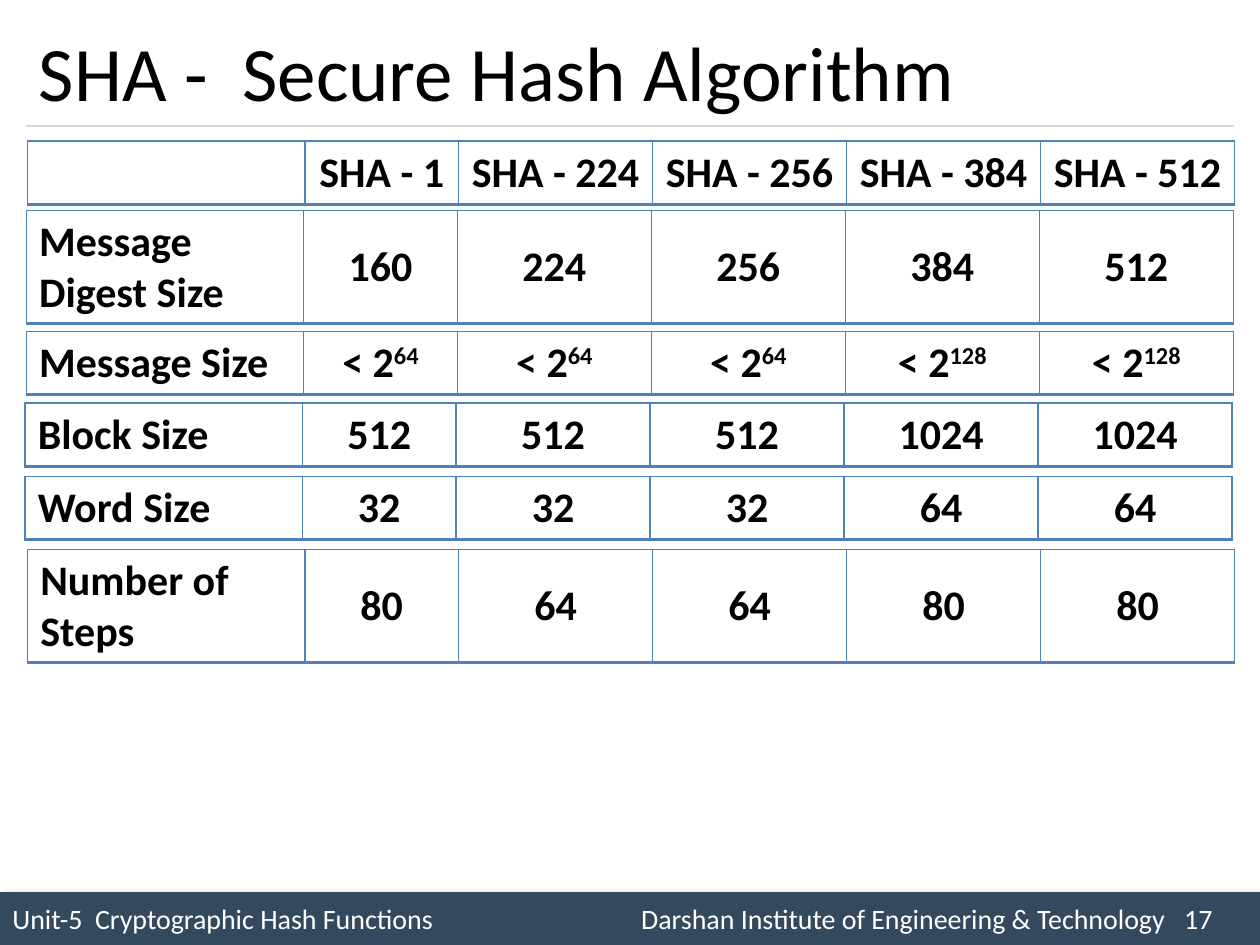
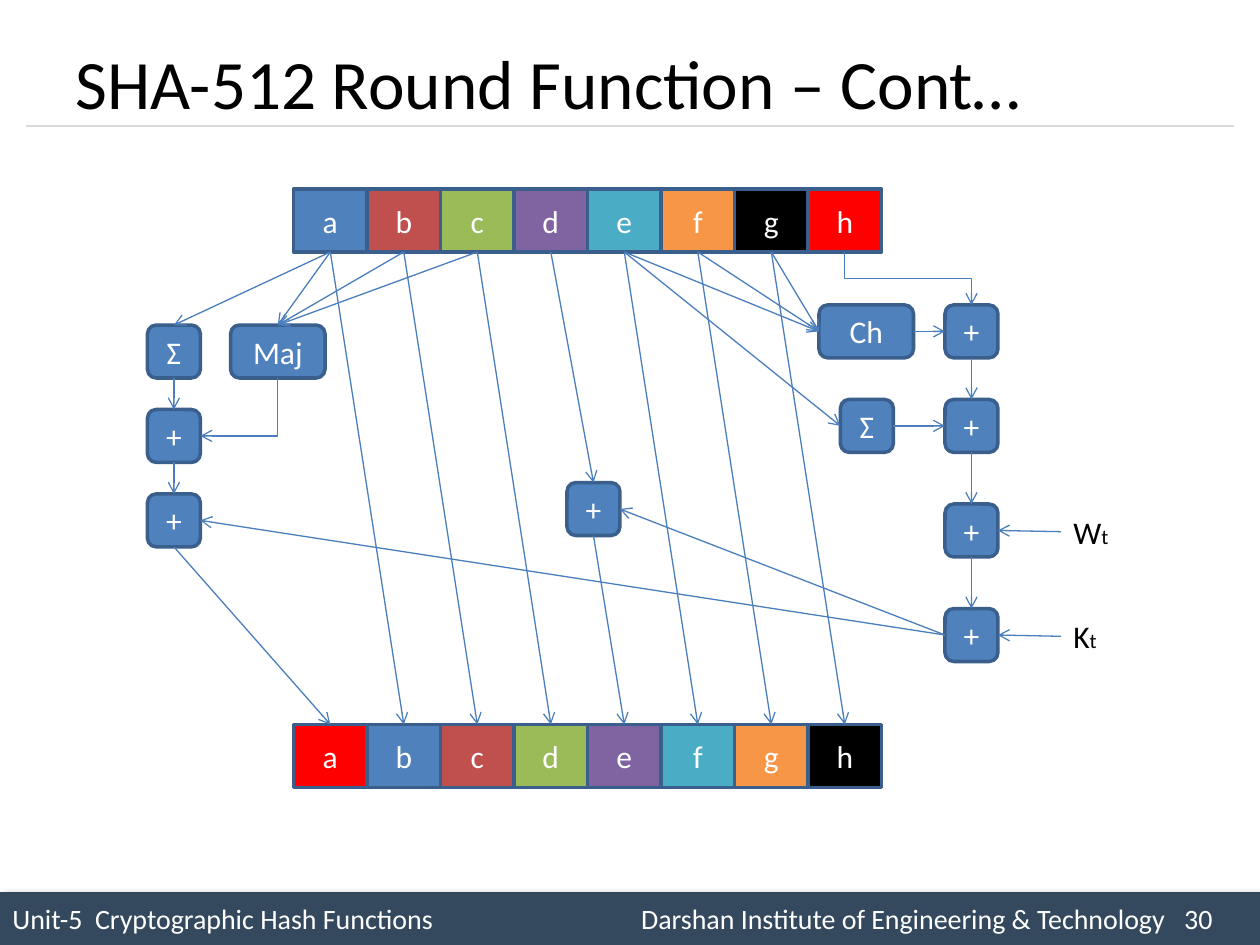
from pptx import Presentation
from pptx.dml.color import RGBColor
from pptx.enum.shapes import MSO_CONNECTOR, MSO_SHAPE
from pptx.enum.text import MSO_ANCHOR, PP_ALIGN
from pptx.oxml import parse_xml
from pptx.oxml.ns import nsdecls, qn
from pptx.util import Inches, Pt

# Shared style
FONT = "Calibri"
WHITE, BLACK = RGBColor(255, 255, 255), RGBColor(0, 0, 0)
BAND, RULE = RGBColor(0x34, 0x49, 0x5E), RGBColor(0xD9, 0xD9, 0xD9)
BLUE, EDGE = RGBColor(0x4F, 0x81, 0xBD), RGBColor(0x3A, 0x5F, 0x8C)
ARROW, RED = RGBColor(0x4B, 0x7E, 0xBC), RGBColor(255, 0, 0)
BRICK, GREEN = RGBColor(0xC0, 0x50, 0x4D), RGBColor(0x9B, 0xBB, 0x59)
PURPLE, TEAL = RGBColor(0x80, 0x64, 0xA2), RGBColor(0x4B, 0xAC, 0xC6)
ORANGE = RGBColor(0xF7, 0x96, 0x46)
UNIT = "Unit-5  Cryptographic Hash Functions"
SCHOOL = "Darshan Institute of Engineering & Technology"

# Comparison strips: left, top, height, cells ("^" starts a superscript)
COL_WIDTHS = [2.2, 1.22] + [1.54] * 4
STRIPS = [
    (0.22, 1.12, 0.5, ["", "SHA - 1", "SHA - 224", "SHA - 256", "SHA - 384", "SHA - 512"]),
    (0.21, 1.67, 0.9, ["Message Digest Size", "160", "224", "256", "384", "512"]),
    (0.21, 2.63, 0.5, ["Message Size", "< 2^64", "< 2^64", "< 2^64", "< 2^128", "< 2^128"]),
    (0.2, 3.2, 0.5, ["Block Size", "512", "512", "512", "1024", "1024"]),
    (0.2, 3.78, 0.5, ["Word Size", "32", "32", "32", "64", "64"]),
    (0.22, 4.36, 0.9, ["Number of Steps", "80", "64", "64", "80", "80"]),
]

# Round function: registers before, and after (marked ') with colours moved by one
REGISTERS = "abcdefgh"
COLOURS = [BLUE, BRICK, GREEN, PURPLE, TEAL, ORANGE, BLACK, RED]
REG_LEFT, REG_WIDTH, REG_HEIGHT = 2.33, 7 / 12, 0.5
BEFORE_TOP, AFTER_TOP = 1.5, 5.75

# Operations: key -> text, left, top, width
OP_HEIGHT = 0.42
OPS = {
    "sum_a": ("Ʃ", 1.17, 2.58, 0.42),
    "maj": ("Maj", 1.83, 2.58, 0.75),
    "add_maj": ("+", 1.17, 3.25, 0.42),
    "add_a": ("+", 1.17, 3.92, 0.42),
    "add_d": ("+", 4.5, 3.83, 0.42),
    "ch": ("Ch", 6.5, 2.42, 0.75),
    "sum_e": ("Ʃ", 6.67, 3.17, 0.42),
    "add_ch": ("+", 7.5, 2.42, 0.42),
    "add_e": ("+", 7.5, 3.17, 0.42),
    "add_w": ("+", 7.5, 4, 0.42),
    "add_k": ("+", 7.5, 4.83, 0.42),
}
INPUTS = {"w": ("W", 4.02), "k": ("K", 4.85)}

# Arrows by the sides they leave and enter
TOP, LEFT, BOTTOM, RIGHT = range(4)
ARROWS = {
    (BOTTOM, TOP): ["a b'", "b c'", "c d'", "e f'", "f g'", "g h'",
                    "a sum_a", "sum_a add_maj", "add_maj add_a", "add_a a'",
                    "a maj", "b maj", "c maj", "d add_d", "add_d e'",
                    "add_ch add_e", "add_e add_w", "add_w add_k"],
    (BOTTOM, LEFT): ["e ch", "f ch", "g ch", "e sum_e"],
    (RIGHT, LEFT): ["ch add_ch", "sum_e add_e"],
    (LEFT, RIGHT): ["w add_w", "k add_k", "add_k add_d", "add_k add_a"],
}


def add_run(p, text, size, color, bold=False):
    r = p.add_run()
    r.text = text
    r.font.name, r.font.size, r.font.bold = FONT, Pt(size), bold
    r.font.color.rgb = color
    return r


def add_box(s, kind, box, fill, line=None):
    sp = s.shapes.add_shape(kind, *map(Inches, box))
    sp.shadow.inherit = False
    sp.fill.solid()
    sp.fill.fore_color.rgb = fill
    if line is None:
        sp.line.fill.background()
    else:
        sp.line.color.rgb, sp.line.width = line, Pt(2)
    sp.text_frame.vertical_anchor = MSO_ANCHOR.MIDDLE
    return sp


def add_text(s, box, anchor):
    tf = s.shapes.add_textbox(*map(Inches, box)).text_frame
    tf.word_wrap = True
    tf.vertical_anchor = anchor
    return tf


def add_line(s, x1, y1, x2, y2, color, kind=MSO_CONNECTOR.STRAIGHT, arrow=False):
    cxn = s.shapes.add_connector(kind, x1, y1, x2, y2)
    cxn.line.color.rgb, cxn.line.width = color, Pt(0.75)
    cxn._element.spPr.append(parse_xml(f"<a:effectLst {nsdecls('a')}/>"))
    if arrow:
        cxn.line._get_or_add_ln().append(
            parse_xml(f'<a:tailEnd {nsdecls("a")} type="arrow"/>'))
    return cxn


def add_slide(prs, title, title_box, title_size, number):
    s = prs.slides.add_slide(prs.slide_layouts[6])
    # Footer band with its shadow; tabs place the school and the number
    band = add_box(s, MSO_SHAPE.RECTANGLE, (0, 7.08, 10, 0.42), BAND)
    band._element.spPr.find(qn("a:effectLst")).append(parse_xml(
        f'<a:outerShdw {nsdecls("a")} blurRad="{Pt(4)}" dist="{Pt(3)}" dir="2700000">'
        '<a:srgbClr val="000000"><a:alpha val="40000"/></a:srgbClr></a:outerShdw>'))
    p = band.text_frame.paragraphs[0]
    p.alignment = PP_ALIGN.LEFT
    tabs = "".join(f'<a:tab pos="{Inches(x)}" algn="l"/>' for x in (4.99, 9.3))
    p._p.get_or_add_pPr().append(
        parse_xml(f"<a:tabLst {nsdecls('a')}>{tabs}</a:tabLst>"))
    add_run(p, f"{UNIT}\t{SCHOOL}\t{number}", 16, WHITE)
    # Title and rule
    add_line(s, Inches(0.21), Inches(1), Inches(9.79), Inches(1), RULE)
    tf = add_text(s, title_box, MSO_ANCHOR.MIDDLE)
    add_run(tf.paragraphs[0], title, title_size, BLACK)
    return s


def add_strip(s, left, top, height, cells):
    frame = s.shapes.add_table(1, len(cells), Inches(left), Inches(top),
                               Inches(sum(COL_WIDTHS)), Inches(height))
    table = frame.table
    table.first_row = table.horz_banding = False
    table.rows[0].height = Inches(height)
    for i, (text, width) in enumerate(zip(cells, COL_WIDTHS)):
        table.columns[i].width = Inches(width)
        cell = table.cell(0, i)
        tcPr = cell._tc.get_or_add_tcPr()
        for side, points in zip("LRTB", (1, 1, 1, 2)):
            tcPr.append(parse_xml(
                f'<a:ln{side} {nsdecls("a")} w="{Pt(points)}"><a:solidFill>'
                f'<a:srgbClr val="{BLUE}"/></a:solidFill></a:ln{side}>'))
        cell.fill.background()
        p = cell.text_frame.paragraphs[0]
        if i:
            p.alignment = PP_ALIGN.CENTER
            cell.vertical_anchor = MSO_ANCHOR.MIDDLE
        base, _, power = text.partition("^")
        if base:
            add_run(p, base, 24, BLACK, True)
        if power:
            r = add_run(p, power, 24, BLACK, True)
            r.font._element.set("baseline", "30000")


def add_node(s, kind, text, box, fill):
    sp = add_box(s, kind, box, fill, EDGE)
    p = sp.text_frame.paragraphs[0]
    p.alignment = PP_ALIGN.CENTER
    add_run(p, text, 18, WHITE)
    return sp


def add_elbow(s, x1, y1, x2, y2, preset):
    """Elbow that leaves downwards: a rotated box around the same middle."""
    w, h = y2 - y1, abs(x2 - x1)
    x, y = (x1 + x2 - w) // 2, (y1 + y2 - h) // 2
    cxn = add_line(s, x, y, x + w, y + h, ARROW, MSO_CONNECTOR.ELBOW, True)
    spPr = cxn._element.spPr
    spPr.find(qn("a:prstGeom")).set("prst", preset)
    xfrm = spPr.find(qn("a:xfrm"))
    xfrm.set("rot", str((90 if x2 < x1 else 270) * 60000))
    if x2 > x1:
        xfrm.set("flipH", "1")


def add_round_function(s):
    nodes = {}
    # Registers
    shifted = COLOURS[-1:] + COLOURS[:-1]
    for mark, top, colours in (("", BEFORE_TOP, COLOURS), ("'", AFTER_TOP, shifted)):
        for i, (name, colour) in enumerate(zip(REGISTERS, colours)):
            box = (REG_LEFT + i * REG_WIDTH, top, REG_WIDTH, REG_HEIGHT)
            nodes[name + mark] = add_node(s, MSO_SHAPE.RECTANGLE, name, box, colour)
    # Operations
    for key, (text, left, top, width) in OPS.items():
        nodes[key] = add_node(s, MSO_SHAPE.ROUNDED_RECTANGLE, text,
                              (left, top, width, OP_HEIGHT), BLUE)
    # Word and constant of the round
    for key, (letter, top) in INPUTS.items():
        tf = add_text(s, (8.42, top, 0.5, 0.4), MSO_ANCHOR.TOP)
        add_run(tf.paragraphs[0], letter, 18, BLACK)
        add_run(tf.paragraphs[0], "t", 12, BLACK)
        nodes[key] = s.shapes[-1]
    # Straight arrows
    for (leave, enter), pairs in ARROWS.items():
        for pair in pairs:
            start, end = pair.split()
            cxn = add_line(s, 0, 0, 0, 0, ARROW, arrow=True)
            cxn.begin_connect(nodes[start], leave)
            cxn.end_connect(nodes[end], enter)
    # Elbow arrows
    maj, add_maj, h, add_ch = (nodes[k] for k in ("maj", "add_maj", "h", "add_ch"))
    add_elbow(s, maj.left + maj.width // 2, maj.top + maj.height,
              add_maj.left + add_maj.width, add_maj.top + add_maj.height // 2,
              "bentConnector2")
    add_elbow(s, h.left + h.width // 2, h.top + h.height,
              add_ch.left + add_ch.width // 2, add_ch.top, "bentConnector3")


def main():
    prs = Presentation()
    prs.slide_width, prs.slide_height = Inches(10), Inches(7.5)

    s = add_slide(prs, "SHA -  Secure Hash Algorithm", (0.21, 0.12, 9.58, 0.88), 44, 17)
    for strip in STRIPS:
        add_strip(s, *strip)

    s = add_slide(prs, "SHA-512 Round Function – Cont…", (0.5, 0.3, 8.67, 0.7), 39.6, 30)
    add_round_function(s)

    prs.save("out.pptx")


if __name__ == "__main__":
    main()
